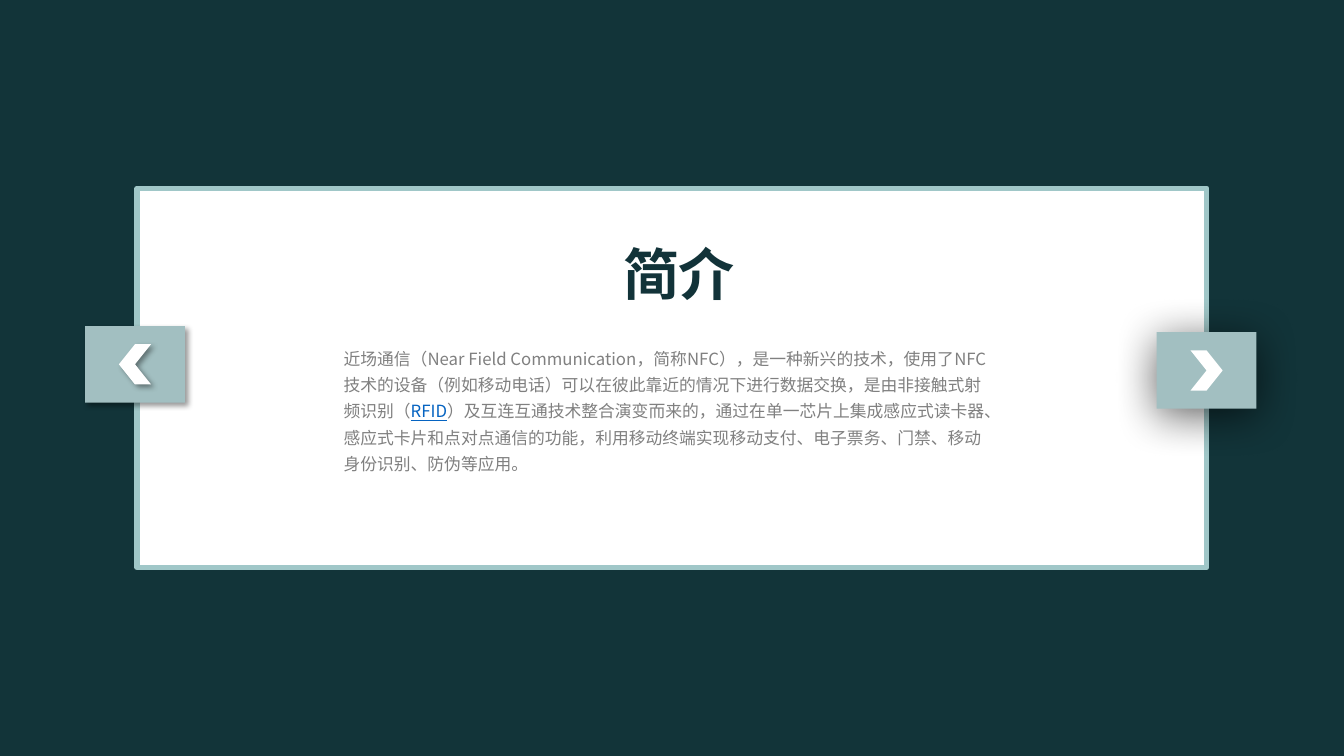
"""Build the NFC introduction slide with its framed card and arrow tabs."""
from dataclasses import dataclass
from typing import Any

from lxml.etree import SubElement
from pptx import Presentation
from pptx.dml.color import RGBColor
from pptx.enum.shapes import MSO_SHAPE
from pptx.enum.text import MSO_ANCHOR, MSO_AUTO_SIZE, PP_ALIGN
from pptx.oxml.ns import qn
from pptx.util import Pt


@dataclass(frozen=True)
class Theme:
    font: str = "Noto Sans CJK SC"
    back: str = "123439"
    white: str = "FFFFFF"
    edge: str = "A0C7C8"
    tab: str = "A2BFC1"
    title: str = "123339"
    text: str = "808080"
    link: str = "0563C1"
    shade: str = "000000"
    large: float = 40
    small: float = 12


@dataclass(frozen=True)
class Box:
    left: float
    top: float
    width: float
    height: float


@dataclass(frozen=True)
class Shade:
    alpha: int
    blur: float
    dist: float
    angle: int


@dataclass(frozen=True)
class Tab:
    box: Box
    shade: Shade
    flip: bool


THEME = Theme()
CARD = Box(98, 134.6, 764, 270.7)
TITLE = Box(437.8, 167.8, 216.7, 55.4)
BODY = Box(238.3, 241.2, 481, 100.1)
MARK_W, MARK_H = 23, 28.8
TABS = [
    Tab(Box(834.5, 229, 54.7, 71.3), Shade(62, 32, 5, 90), False),
    Tab(Box(69.1, 224.6, 54.7, 71.3), Shade(40, 4, 3, 45), True),
]
RUNS = [
    ("近场通信（Near Field Communication，简称NFC），是一种新兴的技术，使用了NFC技术的设备"
     "（例如移动电话）可以在彼此靠近的情况下进行数据交换，是由非接触式射频识别（", THEME.text, False),
    ("RFID", THEME.link, True),
    ("）及互连互通技术整合演变而来的，通过在单一芯片上集成感应式读卡器、感应式卡片和点对点通信的功能，"
     "利用移动终端实现移动支付、电子票务、门禁、移动身份识别、防伪等应用。", THEME.text, False),
]


def place(box: Box) -> list[Pt]:
    """Return the box as lengths in points."""
    return [Pt(n) for n in (box.left, box.top, box.width, box.height)]


def draw(shapes: Any, kind: MSO_SHAPE, box: Box, fill: str) -> Any:
    """Add a filled shape with neither line nor shadow."""
    shape = shapes.add_shape(kind, *place(box))
    shape.shadow.inherit = False
    shape.fill.solid()
    shape.fill.fore_color.rgb = RGBColor.from_string(fill)
    shape.line.fill.background()
    return shape


def cast(shape: Any, shade: Shade) -> None:
    """Give the shape an outer shadow."""
    effect = shape._element.spPr.find(qn("a:effectLst"))
    outer = SubElement(effect, qn("a:outerShdw"), blurRad=str(Pt(shade.blur)),
                       dist=str(Pt(shade.dist)), dir=str(shade.angle * 60000),
                       algn="ctr", rotWithShape="0")
    color = SubElement(outer, qn("a:srgbClr"), val=THEME.shade)
    SubElement(color, qn("a:alpha"), val=str(shade.alpha * 1000))


def add_tab(shapes: Any, tab: Tab) -> None:
    """Add a grouped tab with a centred chevron."""
    group = shapes.add_group_shape()
    base = draw(group.shapes, MSO_SHAPE.RECTANGLE, tab.box, THEME.tab)
    base.rotation = 90
    cast(base, tab.shade)
    spot = Box(tab.box.left + (tab.box.width - MARK_W) / 2,
               tab.box.top + (tab.box.height - MARK_H) / 2, MARK_W, MARK_H)
    mark = draw(group.shapes, MSO_SHAPE.CHEVRON, spot, THEME.white)
    if tab.flip:
        mark._element.spPr.xfrm.set("flipH", "1")
        cast(mark, tab.shade)


def write(line: Any, text: str, size: float, color: str, **style: bool) -> None:
    """Add a styled run to a paragraph."""
    run = line.add_run()
    run.text = text
    look = {"name": THEME.font, "size": Pt(size), **style}
    for key, value in look.items():
        setattr(run.font, key, value)
    run.font.color.rgb = RGBColor.from_string(color)
    SubElement(run.font._element, qn("a:ea"), typeface=THEME.font)


def set_frame(shape: Any, space: float) -> Any:
    """Format a text frame and return its first paragraph."""
    frame = shape.text_frame
    look = {"word_wrap": True, "vertical_anchor": MSO_ANCHOR.TOP,
            "auto_size": MSO_AUTO_SIZE.SHAPE_TO_FIT_TEXT}
    for key, value in look.items():
        setattr(frame, key, value)
    line = frame.paragraphs[0]
    line.alignment = PP_ALIGN.LEFT
    line.line_spacing = space
    return line


def main() -> None:
    """Build and save the slide."""
    deck = Presentation()
    deck.slide_width, deck.slide_height = Pt(960), Pt(540)
    slide = deck.slides.add_slide(deck.slide_layouts[5])
    slide.background.fill.solid()
    slide.background.fill.fore_color.rgb = RGBColor.from_string(THEME.back)
    shapes = slide.shapes

    card = draw(shapes, MSO_SHAPE.RECTANGLE, CARD, THEME.white)
    card.line.color.rgb = RGBColor.from_string(THEME.edge)
    card.line.width = Pt(4)
    for tab in TABS:
        add_tab(shapes, tab)

    title = shapes.title
    for key, value in zip(("left", "top", "width", "height"), place(TITLE)):
        setattr(title, key, value)
    shapes._spTree.append(title._element)
    write(set_frame(title, 1.0), "简介", THEME.large, THEME.title, bold=True)

    line = set_frame(shapes.add_textbox(*place(BODY)), 1.3)
    for text, color, under in RUNS:
        write(line, text, THEME.small, color, underline=under)
    deck.save("out.pptx")


if __name__ == "__main__":
    main()
